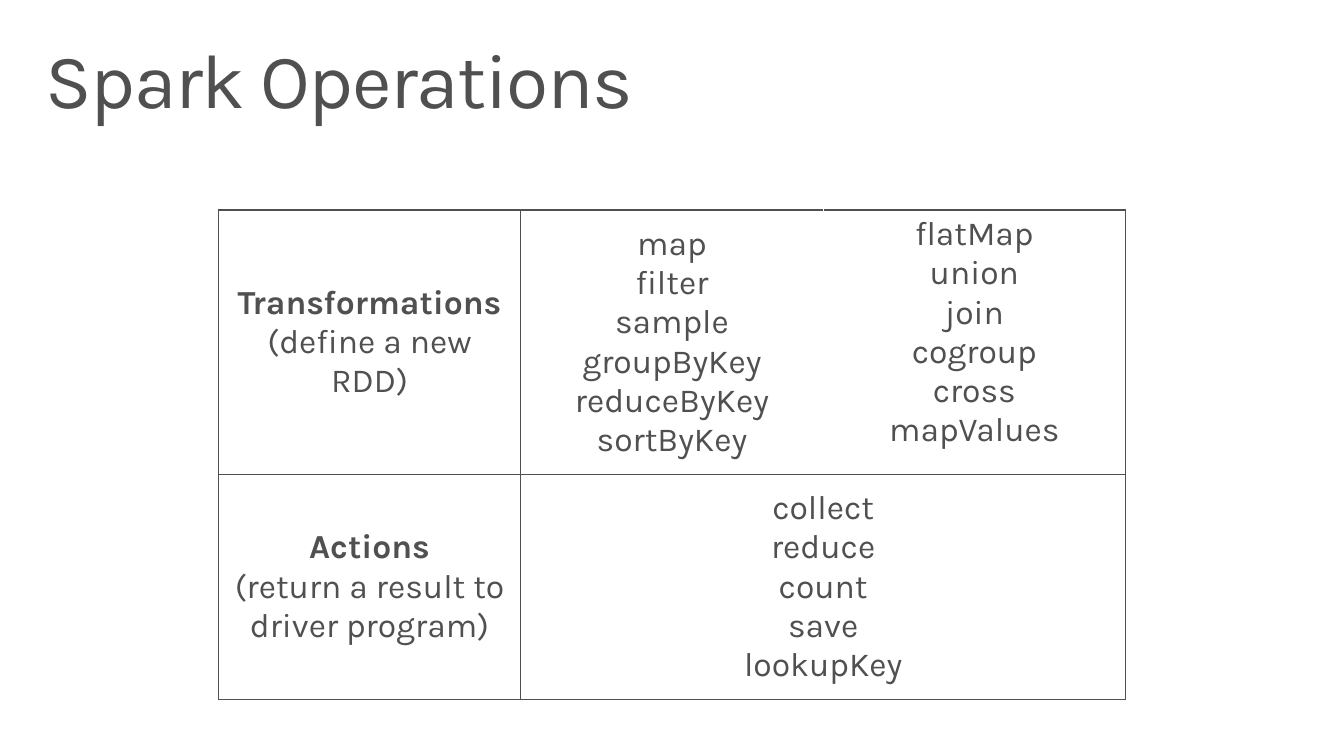
from dataclasses import dataclass

from lxml.etree import SubElement
from pptx import Presentation
from pptx.dml.color import RGBColor
from pptx.enum.text import MSO_VERTICAL_ANCHOR as Anchor, PP_PARAGRAPH_ALIGNMENT as Align
from pptx.oxml.ns import qn
from pptx.util import Pt


@dataclass(frozen=True)
class Theme:
    font: str = "Karla"
    ink: str = "505050"
    paper: str = "FFFFFF"
    title_size: float = 55
    body_size: float = 24
    border: float = 1


TRANSFORMATIONS = ["map", "filter", "sample", "groupByKey", "reduceByKey", "sortByKey"]
MORE_TRANSFORMATIONS = ["flatMap", "union", "join", "cogroup", "cross\vmapValues"]
ACTIONS = ["collect", "reduce", "count\vsave", "lookupKey"]


class SlideBuilder:
    def __init__(self, presentation, theme):
        self.theme = theme
        self.slide = presentation.slides.add_slide(presentation.slide_layouts[6])

    def apply(self, target, values):
        for name, value in values.items():
            setattr(target, name, value)

    def fill_paragraph(self, paragraph, text, size, bold=False):
        run_font = {"name": self.theme.font, "size": Pt(size), "bold": bold}
        paragraph.text = text
        for run in paragraph.runs:
            self.apply(run.font, run_font)
            run.font.color.rgb = RGBColor.from_string(self.theme.ink)

    def title(self, text, left, top, width, height):
        shape = self.slide.shapes.add_textbox(Pt(left), Pt(top), Pt(width), Pt(height))
        frame = shape.text_frame
        self.apply(frame, {
            "word_wrap": True,
            "margin_left": Pt(11.5),
            "margin_right": Pt(11.5),
            "margin_top": Pt(7.2),
            "margin_bottom": Pt(7.2),
        })
        paragraph = frame.paragraphs[0]
        paragraph.line_spacing = 0.9
        self.fill_paragraph(paragraph, text, self.theme.title_size)
        paragraph.runs[0].font._element.set("spc", "-100")

    def table(self, left, top, column_widths, row_heights):
        frame = self.slide.shapes.add_table(
            len(row_heights), len(column_widths), Pt(left), Pt(top),
            Pt(sum(column_widths)), Pt(sum(row_heights)))
        table = frame.table
        self.apply(table, {"first_row": False, "horz_banding": False})
        for column, width in zip(table.columns, column_widths):
            column.width = Pt(width)
        for row, height in zip(table.rows, row_heights):
            row.height = Pt(height)
        return table

    def borders(self, cell, hidden=""):
        properties = cell._tc.get_or_add_tcPr()
        for side in "LRTB":
            line = SubElement(properties, qn(f"a:ln{side}"), w=str(Pt(self.theme.border)))
            fill = SubElement(line, qn("a:solidFill"))
            color = self.theme.paper if side == hidden else self.theme.ink
            SubElement(fill, qn("a:srgbClr"), val=color)
        cell.fill.background()

    def cell(self, cell, lines, anchor=Anchor.MIDDLE, heading=False):
        cell.vertical_anchor = anchor
        frame = cell.text_frame
        for index, text in enumerate(lines):
            paragraph = frame.add_paragraph() if index else frame.paragraphs[0]
            paragraph.alignment = Align.CENTER
            self.fill_paragraph(paragraph, text, self.theme.body_size, heading and index == 0)


def main():
    presentation = Presentation()
    presentation.slide_width, presentation.slide_height = Pt(960), Pt(540)
    builder = SlideBuilder(presentation, Theme())
    builder.title("Spark Operations", 21, 23, 918, 70.5)

    operations = builder.table(156, 150, [216] * 3, [189, 160.5])
    hidden_sides = {(0, 1): "R", (0, 2): "L"}
    for row in range(2):
        for column in range(3):
            builder.borders(operations.cell(row, column), hidden_sides.get((row, column), ""))
    operations.cell(1, 1).merge(operations.cell(1, 2))

    builder.cell(operations.cell(0, 0), ["Transformations", "(define a new RDD)"], heading=True)
    builder.cell(operations.cell(0, 1), TRANSFORMATIONS)
    builder.cell(operations.cell(0, 2), MORE_TRANSFORMATIONS, Anchor.TOP)
    builder.cell(operations.cell(1, 0), ["Actions", "(return a result to driver program)"], heading=True)
    builder.cell(operations.cell(1, 1), ACTIONS)

    presentation.save("out.pptx")


if __name__ == "__main__":
    main()
